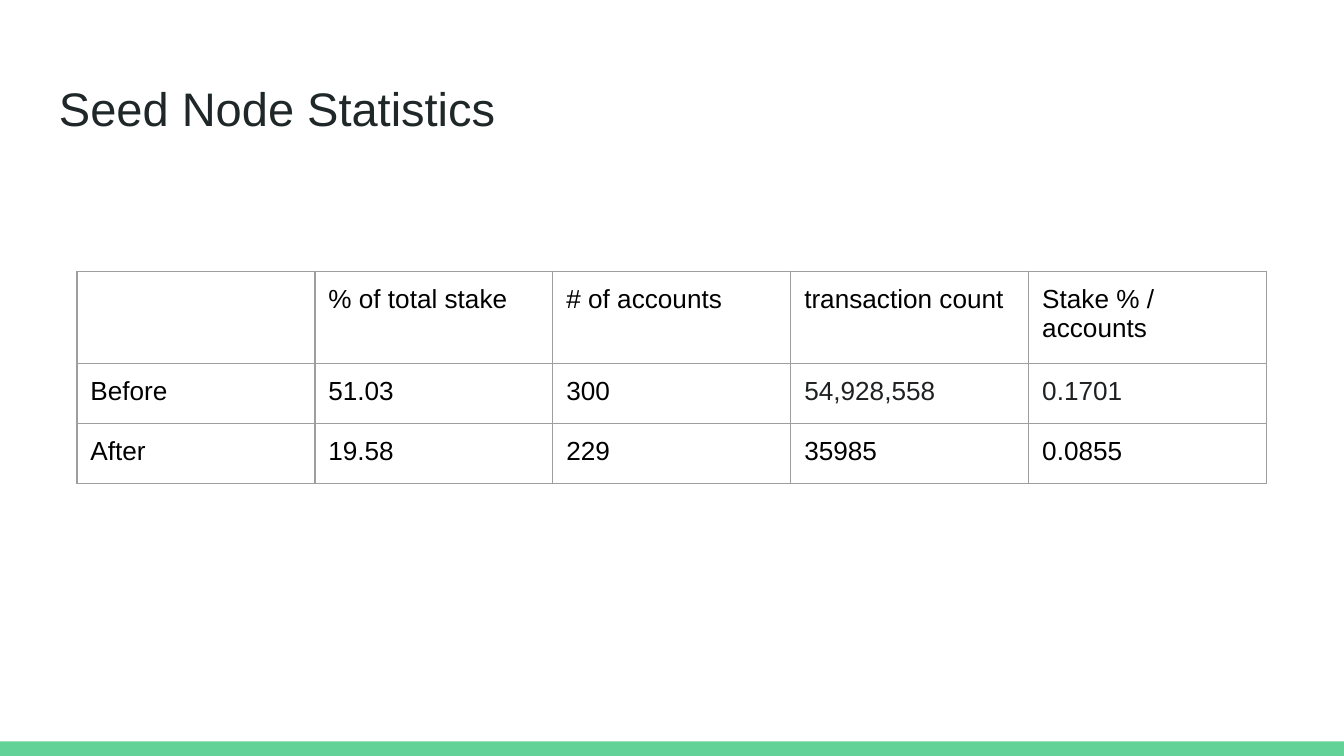
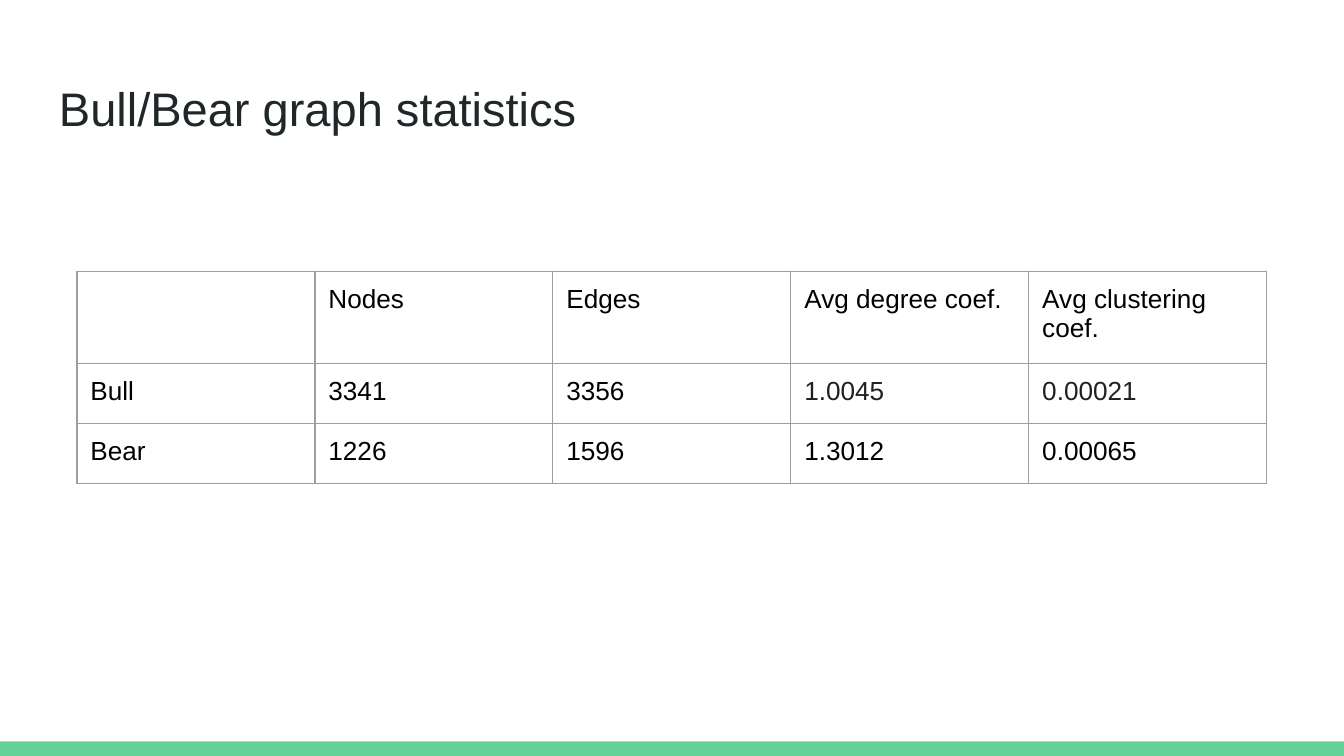
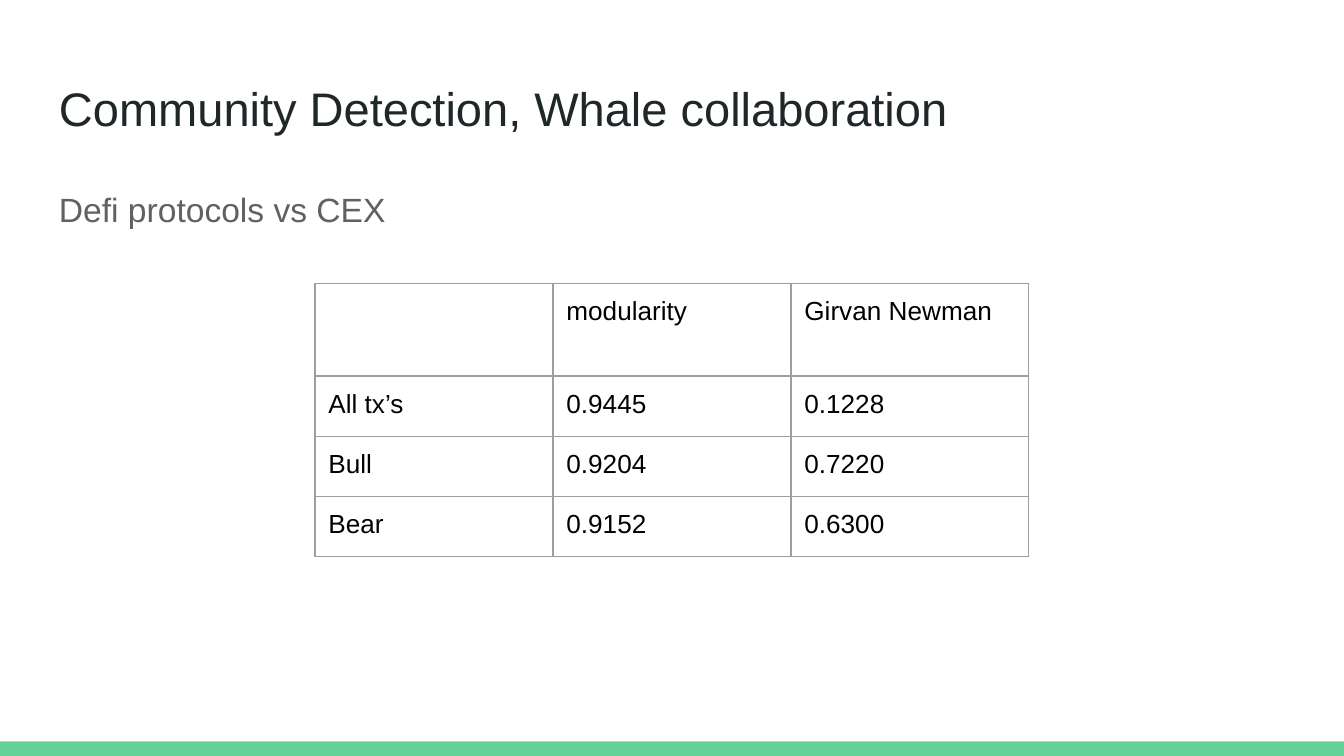
import pptx
import pptx.dml.color
import pptx.enum.shapes
import pptx.enum.text
import pptx.oxml
import pptx.oxml.ns
import pptx.util

Pt = pptx.util.Pt

PAGES = [
    {
        "title": "Seed Node Statistics",
        "table_top": 145.25,
        "rows": [
            ["", "% of total stake", "# of accounts", "transaction count", "Stake % / accounts"],
            ["Before", "51.03", "300", "54,928,558", "0.1701"],
            ["After", "19.58", "229", "35985", "0.0855"],
        ],
        "soft_cells": [(1, 3), (1, 4)],
    },
    {
        "title": "Bull/Bear graph statistics",
        "table_top": 145.25,
        "rows": [
            ["", "Nodes", "Edges", "Avg degree coef.", "Avg clustering coef."],
            ["Bull", "3341", "3356", "1.0045", "0.00021"],
            ["Bear", "1226", "1596", "1.3012", "0.00065"],
        ],
        "soft_cells": [(1, 3), (1, 4)],
    },
    {
        "title": "Community Detection, Whale collaboration",
        "body": "Defi protocols vs CEX",
        "table_top": 152,
        "rows": [
            ["", "modularity", "Girvan Newman"],
            ["All tx’s", "0.9445", "0.1228"],
            ["Bull", "0.9204", "0.7220"],
            ["Bear", "0.9152", "0.6300"],
        ],
        "soft_cells": [],
    },
]

FONT = "Arial"
WHITE, GREEN = "FFFFFF", "63D297"
TITLE_INK, BODY_INK = "202729", "616161"
CELL_INK, SOFT_INK, BORDER = "000000", "1E2022", "9E9E9E"

PAGE_WIDTH, PAGE_HEIGHT = 720, 405
BAND_HEIGHT = 7.8
TEXT_LEFT = 24.5
TEXT_WIDTH = PAGE_WIDTH - 2 * TEXT_LEFT
INSET = 7.2
COLUMN_WIDTH = 127.5
HEADER_HEIGHT, ROW_HEIGHT = 49.5, 32.2


def rgb(code):
    return pptx.dml.color.RGBColor.from_string(code)


def style_font(para, size, color):
    for span in para.runs:
        span.font.name = FONT
        span.font.size = Pt(size)
        span.font.color.rgb = rgb(color)


def set_insets(holder):
    """Give a text frame or a table cell the same margin on all sides."""
    holder.margin_left = holder.margin_right = Pt(INSET)
    holder.margin_top = holder.margin_bottom = Pt(INSET)


def add_text(page, text, top, height, size, color, anchor):
    box = page.shapes.add_textbox(Pt(TEXT_LEFT), Pt(top), Pt(TEXT_WIDTH), Pt(height))
    frame = box.text_frame
    frame.word_wrap = True
    frame.vertical_anchor = anchor
    set_insets(frame)
    frame.text = text
    style_font(frame.paragraphs[0], size, color)
    return frame.paragraphs[0]


def add_band(page):
    band = page.shapes.add_shape(
        pptx.enum.shapes.MSO_SHAPE.RECTANGLE,
        Pt(0), Pt(PAGE_HEIGHT - BAND_HEIGHT), Pt(PAGE_WIDTH), Pt(BAND_HEIGHT))
    band.shadow.inherit = False
    band.fill.solid()
    band.fill.fore_color.rgb = rgb(GREEN)
    band.line.fill.background()


def add_borders(cell):
    properties = cell._tc.get_or_add_tcPr()
    for side in ("lnL", "lnR", "lnT", "lnB"):
        properties.append(pptx.oxml.parse_xml(
            f'<a:{side} {pptx.oxml.ns.nsdecls("a")} w="{Pt(0.75)}">'
            f'<a:solidFill><a:srgbClr val="{BORDER}"/></a:solidFill></a:{side}>'))


def add_statistics(page, rows, top, soft_cells):
    """Add a bordered table, centred across the page."""
    width = COLUMN_WIDTH * len(rows[0])
    heights = [HEADER_HEIGHT] + [ROW_HEIGHT] * (len(rows) - 1)
    table = page.shapes.add_table(
        len(rows), len(rows[0]),
        Pt((PAGE_WIDTH - width) / 2), Pt(top), Pt(width), Pt(sum(heights))).table
    table.first_row = table.horz_banding = False
    for column in table.columns:
        column.width = Pt(COLUMN_WIDTH)
    for r, texts in enumerate(rows):
        table.rows[r].height = Pt(heights[r])
        for c, text in enumerate(texts):
            cell = table.cell(r, c)
            set_insets(cell)
            add_borders(cell)
            cell.fill.background()
            cell.text_frame.text = text
            ink = SOFT_INK if (r, c) in soft_cells else CELL_INK
            style_font(cell.text_frame.paragraphs[0], 14, ink)


def add_page(deck, content):
    anchors = pptx.enum.text.MSO_ANCHOR
    page = deck.slides.add_slide(deck.slide_layouts[6])
    page.background.fill.solid()
    page.background.fill.fore_color.rgb = rgb(WHITE)
    add_band(page)
    if "body" in content:
        para = add_text(page, content["body"], 90.75, 269, 18, BODY_INK, anchors.TOP)
        para.line_spacing = 1.15
    add_text(page, content["title"], 35, 45, 25.2, TITLE_INK, anchors.MIDDLE)
    add_statistics(page, content["rows"], content["table_top"], content["soft_cells"])


def main():
    deck = pptx.Presentation()
    deck.slide_width, deck.slide_height = Pt(PAGE_WIDTH), Pt(PAGE_HEIGHT)
    for content in PAGES:
        add_page(deck, content)
    deck.save("out.pptx")


if __name__ == "__main__":
    main()
